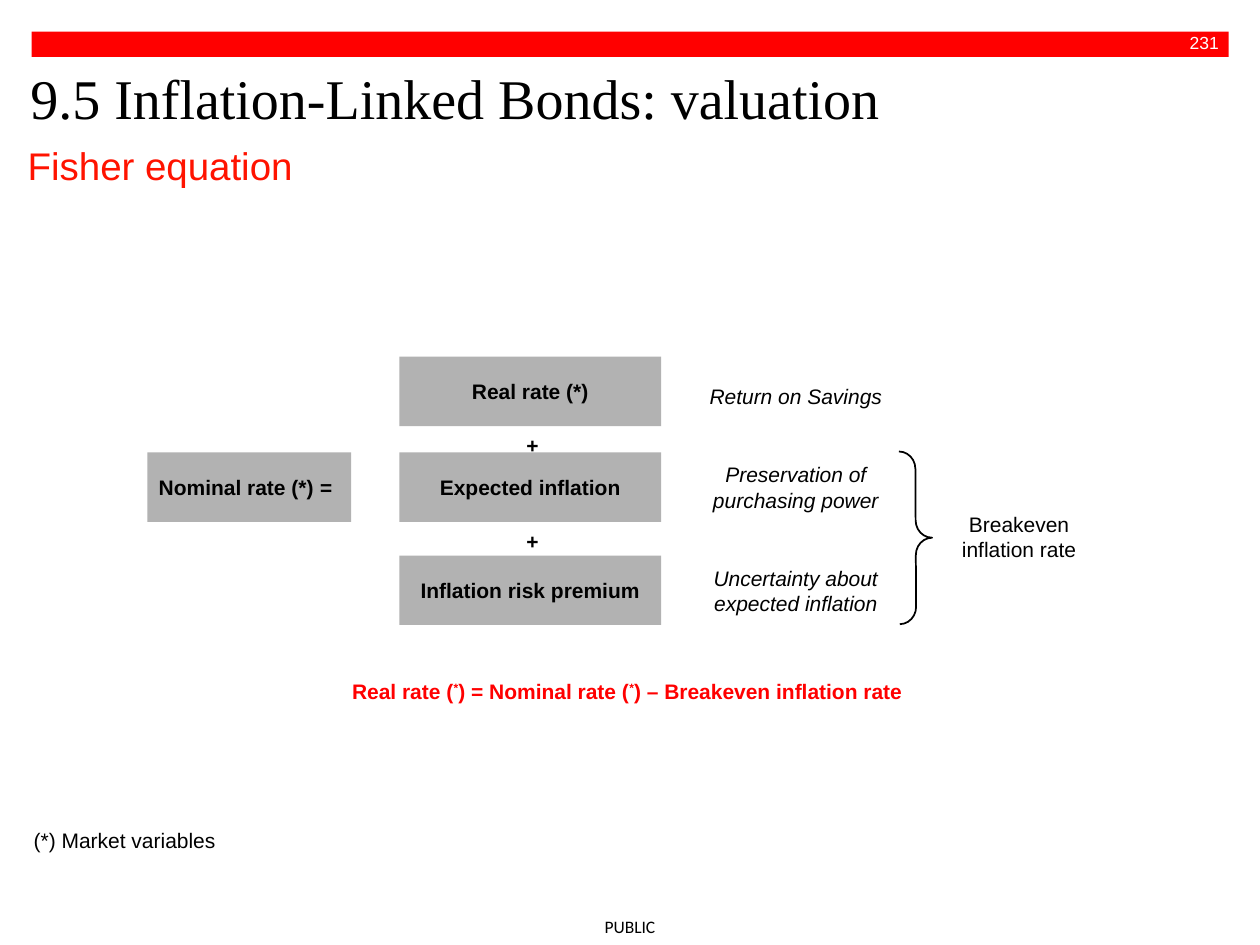
from pptx import Presentation
from pptx.dml.color import RGBColor
from pptx.enum.shapes import MSO_SHAPE
from pptx.enum.text import MSO_ANCHOR, MSO_AUTO_SIZE, PP_ALIGN
from pptx.util import Cm, Pt

RED = RGBColor(0xFF, 0x00, 0x00)
HEADING_RED = RGBColor(0xFF, 0x13, 0x00)
GREY = RGBColor(0xB2, 0xB2, 0xB2)
BLACK = RGBColor(0x00, 0x00, 0x00)
WHITE = RGBColor(0xFF, 0xFF, 0xFF)
LEFT, CENTER, RIGHT = PP_ALIGN.LEFT, PP_ALIGN.CENTER, PP_ALIGN.RIGHT
TOP, MIDDLE = MSO_ANCHOR.TOP, MSO_ANCHOR.MIDDLE
RECTANGLE, LEFT_BRACE = MSO_SHAPE.RECTANGLE, MSO_SHAPE.LEFT_BRACE
NO_AUTOFIT = MSO_AUTO_SIZE.NONE

# Component, its top in the diagram, its meaning, the meaning's offset
ROW_HEIGHT = 1.4
COMPONENTS = [
    ("Real rate (*)", 0, "Return on Savings", 0.28),
    ("Expected inflation", 1.93, "Preservation of purchasing power", 0.18),
    ("Inflation risk premium", 4.01, "Uncertainty about expected inflation", 0.18),
]


def write(sp, lines, size=12, color=BLACK, font="Arial", bold=False,
          italic=False, align=LEFT, anchor=TOP, margins=(0.25, 0.13)):
    """Fill a shape with one paragraph per line; a line is a list of runs."""
    tf = sp.text_frame
    tf.word_wrap = True
    tf.auto_size = NO_AUTOFIT
    tf.vertical_anchor = anchor
    tf.margin_left = tf.margin_right = Cm(margins[0])
    tf.margin_top = tf.margin_bottom = Cm(margins[1])
    for i, runs in enumerate(lines):
        p = tf.paragraphs[0] if i == 0 else tf.add_paragraph()
        for text in runs:
            p.add_run().text = text
        p.alignment = align
        p.font.size = Pt(size)
        p.font.name = font
        p.font.bold = bold
        p.font.italic = italic
        p.font.color.rgb = color
    return tf


def add_text(slide, x, y, w, h, lines, **style):
    sp = slide.shapes.add_textbox(Cm(x), Cm(y), Cm(w), Cm(h))
    return write(sp, lines, **style)


def add_rect(slide, x, y, w, h, fill, lines, **style):
    sp = slide.shapes.add_shape(RECTANGLE, Cm(x), Cm(y), Cm(w), Cm(h))
    sp.shadow.inherit = False
    sp.fill.solid()
    sp.fill.fore_color.rgb = fill
    sp.line.fill.background()
    return write(sp, lines, **style)


def add_header(slide, x, y, w):
    # Page bar
    add_rect(slide, x + 0.28, y, w - 0.55, 0.51, RED, [["231"]], size=10,
             color=WHITE, align=RIGHT, margins=(0.2, 0))
    # Title and subtitle
    title = slide.shapes.title
    title.left, title.top = Cm(x), Cm(y + 0.52)
    title.width, title.height = Cm(w), Cm(1.6)
    write(title, [["9.5 Inflation-Linked Bonds: valuation"]], size=32,
          font="Times New Roman")
    add_text(slide, x - 0.05, y + 2.1, w, 1.27, [["Fisher equation"]],
             size=22, color=HEADING_RED)


def add_diagram(slide, x, y):
    box = dict(bold=True, anchor=MIDDLE, margins=(0.23, 0.1))
    note = dict(align=CENTER, anchor=MIDDLE, margins=(0.23, 0.1))

    # Nominal rate, level with the middle component
    tf = add_rect(slide, x, y + COMPONENTS[1][1], 4.11, ROW_HEIGHT, GREY,
                  [["Nominal rate (*)", " ="]], **box)
    tf.paragraphs[0].runs[1].font.italic = True

    # Components and what each one pays for
    for name, top, meaning, offset in COMPONENTS:
        add_rect(slide, x + 5.08, y + top, 5.28, ROW_HEIGHT, GREY, [[name]],
                 align=CENTER, **box)
        add_text(slide, x + 11.02, y + top + offset, 4.11, 1.04, [[meaning]],
                 italic=True, **note)

    # Plus signs below all components but the last
    for _, top, _, _ in COMPONENTS[:-1]:
        add_text(slide, x + 6.9, y + top + ROW_HEIGHT, 1.73, 0.76, [["+"]],
                 bold=True, align=CENTER)

    # Brace and its label
    brace = slide.shapes.add_shape(LEFT_BRACE, Cm(x + 15.16), Cm(y + 1.91),
                                   Cm(0.66), Cm(3.48))
    brace.rotation = 179.7
    brace.adjustments[0] = 0.53
    brace.adjustments[1] = 0.5
    brace.shadow.inherit = False
    brace.fill.background()
    brace.line.color.rgb = BLACK
    brace.line.width = Pt(1)
    add_text(slide, x + 15.82, y + 3.05, 3.51, 1.17,
             [["Breakeven"], ["inflation rate"]], **note)


def add_conclusion(slide, x, y, w):
    tf = add_text(slide, x, y, w, 1.27,
                  [["Real rate (", "*", ") = Nominal rate (", "*",
                    ") – Breakeven inflation rate"]],
                  color=RED, bold=True, align=CENTER)
    for r in tf.paragraphs[0].runs:
        if r.text == "*":
            r.font._element.set("baseline", "30000")


def add_footer(slide, x, y):
    add_text(slide, x, y, 5.72, 0.84, [["(*) Market variables"]])
    add_text(slide, x + 11.38, y + 1.75, 1.78, 0.74, [["PUBLIC"]], size=10,
             font="Calibri", align=CENTER, anchor=MIDDLE, margins=(0, 0))


def main():
    prs = Presentation()
    prs.slide_width, prs.slide_height = Cm(25.4), Cm(19.05)
    slide = prs.slides.add_slide(prs.slide_layouts[5])
    add_header(slide, 0.36, 0.64, 24.68)
    add_diagram(slide, 2.97, 7.19)
    add_conclusion(slide, 2.7, 13.54, 19.89)
    add_footer(slide, 0.43, 16.56)
    prs.save("out.pptx")


if __name__ == "__main__":
    main()
